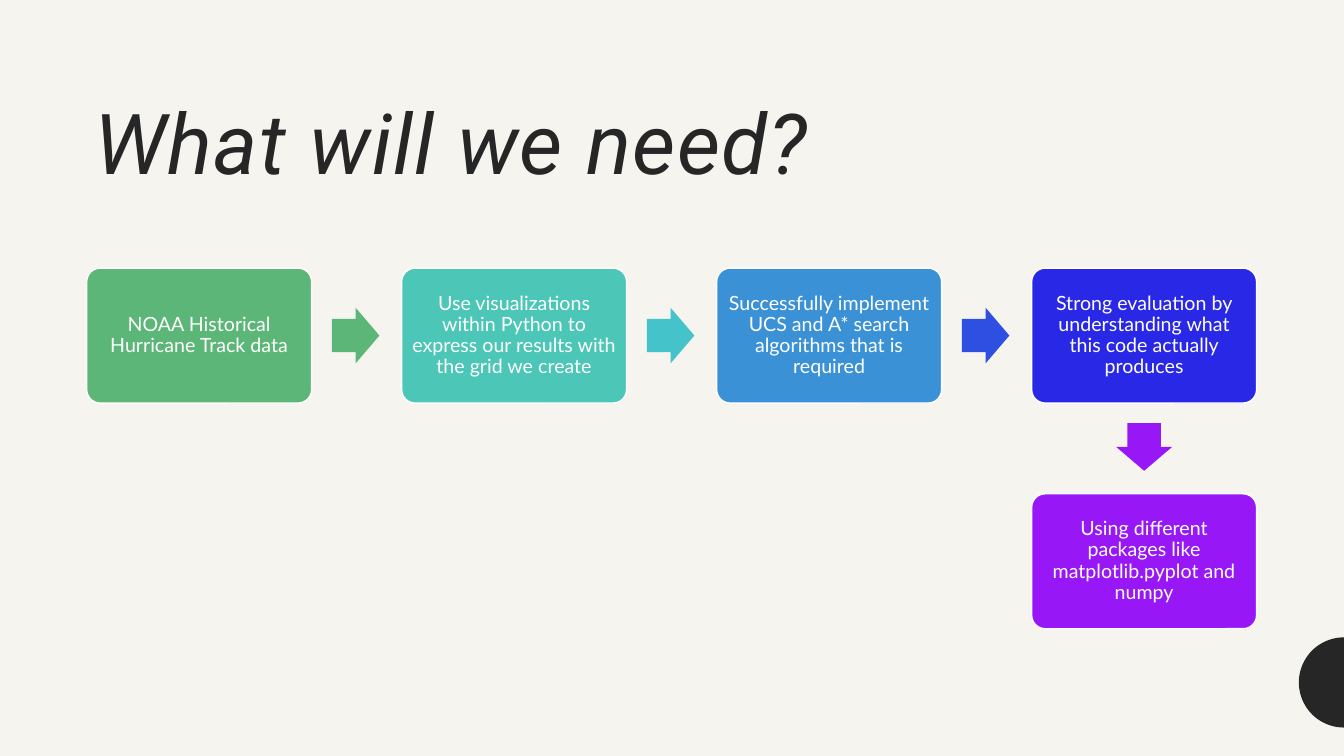
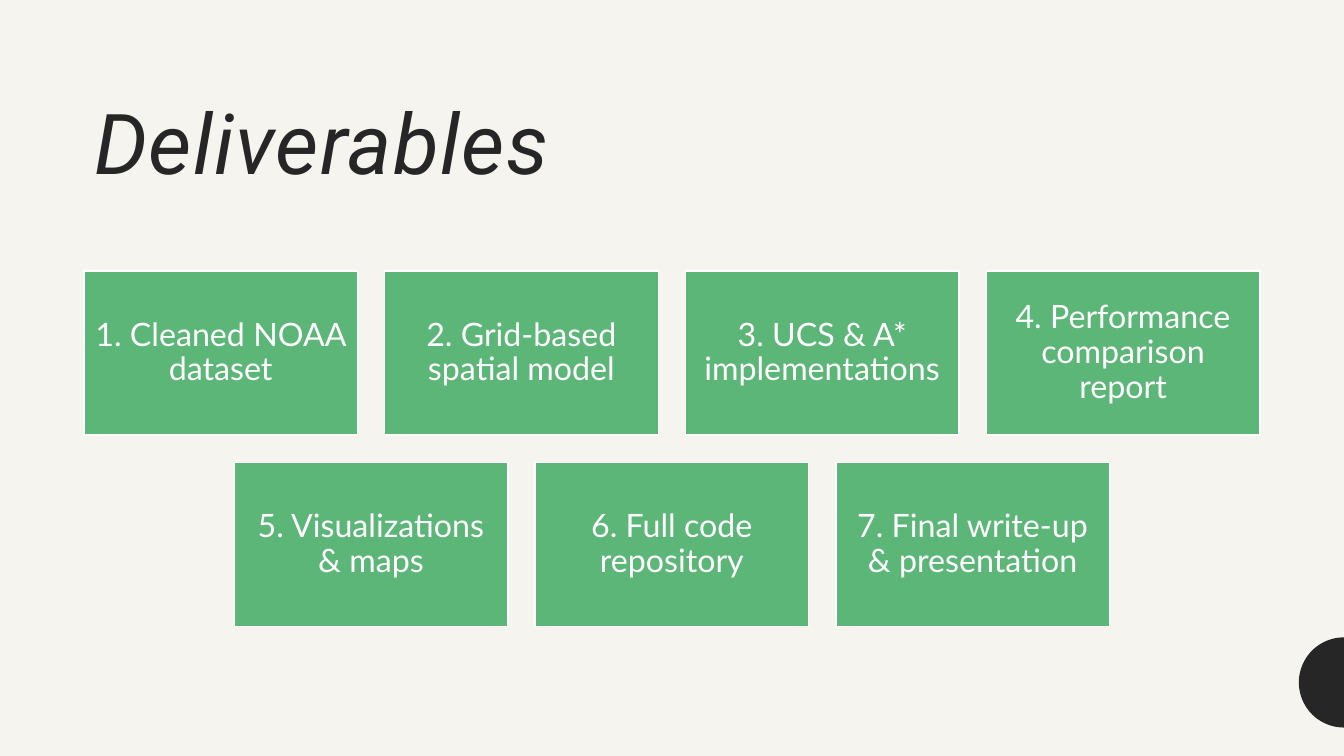
import math

import pptx
import pptx.dml.color
import pptx.enum.shapes
import pptx.enum.text
import pptx.util

Pt = pptx.util.Pt
RGBColor = pptx.dml.color.RGBColor
MSO_SHAPE = pptx.enum.shapes.MSO_SHAPE
MSO_ANCHOR = pptx.enum.text.MSO_ANCHOR
PP_ALIGN = pptx.enum.text.PP_ALIGN

PAPER = RGBColor(0xF6, 0xF4, 0xEF)
INK = RGBColor(0x26, 0x26, 0x26)
WHITE = RGBColor(0xFF, 0xFF, 0xFF)
GREEN = RGBColor(0x5C, 0xB6, 0x78)
TEAL = RGBColor(0x4B, 0xC6, 0xB7)
AQUA = RGBColor(0x45, 0xC3, 0xCB)
SKY = RGBColor(0x3A, 0x91, 0xD6)
ROYAL = RGBColor(0x2E, 0x4F, 0xE1)
BLUE = RGBColor(0x2A, 0x28, 0xE7)
PURPLE = RGBColor(0x97, 0x17, 0xF7)

TITLE_FONT, BODY_FONT = "Roboto", "Lato"
SLIDE_W, SLIDE_H = 960, 540
MARGIN = 60
CONTENT_W = SLIDE_W - 2 * MARGIN

STEP_W, STEP_H = 160.7, 96.4
STEP_LEFT, STEP_TOP = 61.9, 191.5
STEP_PITCH_X, STEP_PITCH_Y = 225, 161.2
ARROW_W, ARROW_H, ARROW_GAP = 34, 39.8, 14.4
STEPS_PER_ROW = 4
# Each step: text, box colour, colour of the arrow that follows it
STEPS = [
    ("NOAA Historical Hurricane Track data", GREEN, GREEN),
    ("Use visualizations within Python to express our results with the grid we create",
     TEAL, AQUA),
    ("Successfully implement UCS and A* search algorithms that is required", SKY, ROYAL),
    ("Strong evaluation by understanding what this code actually produces", BLUE, PURPLE),
    ("Using different packages like matplotlib.pyplot and numpy", PURPLE, None),
]

CARD_H, CARD_GAP, CARD_TOP = 117.2, 19.5, 193.6
CARDS_PER_ROW = 4
CARD_W = (CONTENT_W - (CARDS_PER_ROW - 1) * CARD_GAP) / CARDS_PER_ROW
DELIVERABLES = [
    "Cleaned NOAA dataset",
    "Grid-based spatial model",
    "UCS & A* implementations",
    "Performance comparison report",
    "Visualizations & maps",
    "Full code repository",
    "Final write-up & presentation",
]


def add_half_disc(s, cy=487.5, radius=32.2, steps=48):
    """Dark half disc that touches the right edge of the slide."""
    angles = [math.pi / 2 + math.pi * i / steps for i in range(steps + 1)]
    points = [(Pt(SLIDE_W + radius * math.cos(a)), Pt(cy + radius * math.sin(a)))
              for a in angles]
    builder = s.shapes.build_freeform(*points[0])
    builder.add_line_segments(points[1:], close=True)
    paint(builder.convert_to_shape(), INK)


def add_titled_slide(prs, title):
    s = prs.slides.add_slide(prs.slide_layouts[5])
    sp = s.shapes.title
    sp.left, sp.top, sp.width, sp.height = Pt(MARGIN), Pt(33), Pt(CONTENT_W), Pt(108)
    tf = sp.text_frame
    tf.auto_size = pptx.enum.text.MSO_AUTO_SIZE.NONE
    tf.vertical_anchor = MSO_ANCHOR.BOTTOM
    p = tf.paragraphs[0]
    p.alignment, p.line_spacing = PP_ALIGN.LEFT, 0.9
    p.font.name, p.font.size, p.font.italic = TITLE_FONT, Pt(60), True
    p.font.color.rgb = INK
    r = p.add_run()
    r.text = title
    r._r.get_or_add_rPr().set("spc", "100")
    add_half_disc(s)
    return s


def paint(sp, fill, line=None):
    sp.shadow.inherit = False
    sp.fill.solid()
    sp.fill.fore_color.rgb = fill
    if line is None:
        sp.line.fill.background()
    else:
        sp.line.color.rgb = line
        sp.line.width = Pt(1)


def add_box(s, kind, left, top, width, height, fill, text, size, inset):
    sp = s.shapes.add_shape(kind, Pt(left), Pt(top), Pt(width), Pt(height))
    paint(sp, fill, WHITE)
    tf = sp.text_frame
    tf.word_wrap = True
    tf.vertical_anchor = MSO_ANCHOR.MIDDLE
    tf.margin_left = tf.margin_right = tf.margin_top = tf.margin_bottom = Pt(inset)
    p = tf.paragraphs[0]
    p.text = text
    p.alignment, p.line_spacing = PP_ALIGN.CENTER, 0.9
    p.font.name, p.font.size, p.font.color.rgb = BODY_FONT, Pt(size), WHITE
    return sp


def add_arrow(s, cx, cy, fill, rotation):
    sp = s.shapes.add_shape(MSO_SHAPE.RIGHT_ARROW, Pt(cx - ARROW_W / 2),
                            Pt(cy - ARROW_H / 2), Pt(ARROW_W), Pt(ARROW_H))
    sp.adjustments[0], sp.adjustments[1] = 0.6, 0.5
    sp.rotation = rotation
    paint(sp, fill)


def add_steps(s):
    """Flow that runs right along the first row, then down its last column."""
    reach = ARROW_GAP + ARROW_W / 2
    for i, (text, fill, arrow_fill) in enumerate(STEPS):
        col = min(i, STEPS_PER_ROW - 1)
        left = STEP_LEFT + col * STEP_PITCH_X
        top = STEP_TOP + (i - col) * STEP_PITCH_Y
        sp = add_box(s, MSO_SHAPE.ROUNDED_RECTANGLE, left, top, STEP_W, STEP_H,
                     fill, text, size=14, inset=4.3)
        sp.adjustments[0] = 0.1
        if arrow_fill is None:
            continue
        if i < STEPS_PER_ROW - 1:
            add_arrow(s, left + STEP_W + reach, top + STEP_H / 2, arrow_fill, 0)
        else:
            add_arrow(s, left + STEP_W / 2, top + STEP_H + reach, arrow_fill, 90)


def add_cards(s):
    """Numbered cards in rows, each row centred on the slide."""
    for i, text in enumerate(DELIVERABLES):
        row, col = divmod(i, CARDS_PER_ROW)
        count = min(CARDS_PER_ROW, len(DELIVERABLES) - row * CARDS_PER_ROW)
        row_w = count * CARD_W + (count - 1) * CARD_GAP
        left = (SLIDE_W - row_w) / 2 + col * (CARD_W + CARD_GAP)
        top = CARD_TOP + row * (CARD_H + CARD_GAP)
        add_box(s, MSO_SHAPE.RECTANGLE, left, top, CARD_W, CARD_H,
                GREEN, f"{i + 1}. {text}", size=23, inset=7)


def main():
    prs = pptx.Presentation()
    prs.slide_width, prs.slide_height = Pt(SLIDE_W), Pt(SLIDE_H)
    background = prs.slide_master.background.fill
    background.solid()
    background.fore_color.rgb = PAPER
    add_steps(add_titled_slide(prs, "What will we need?"))
    add_cards(add_titled_slide(prs, "Deliverables"))
    prs.save("out.pptx")


if __name__ == "__main__":
    main()
